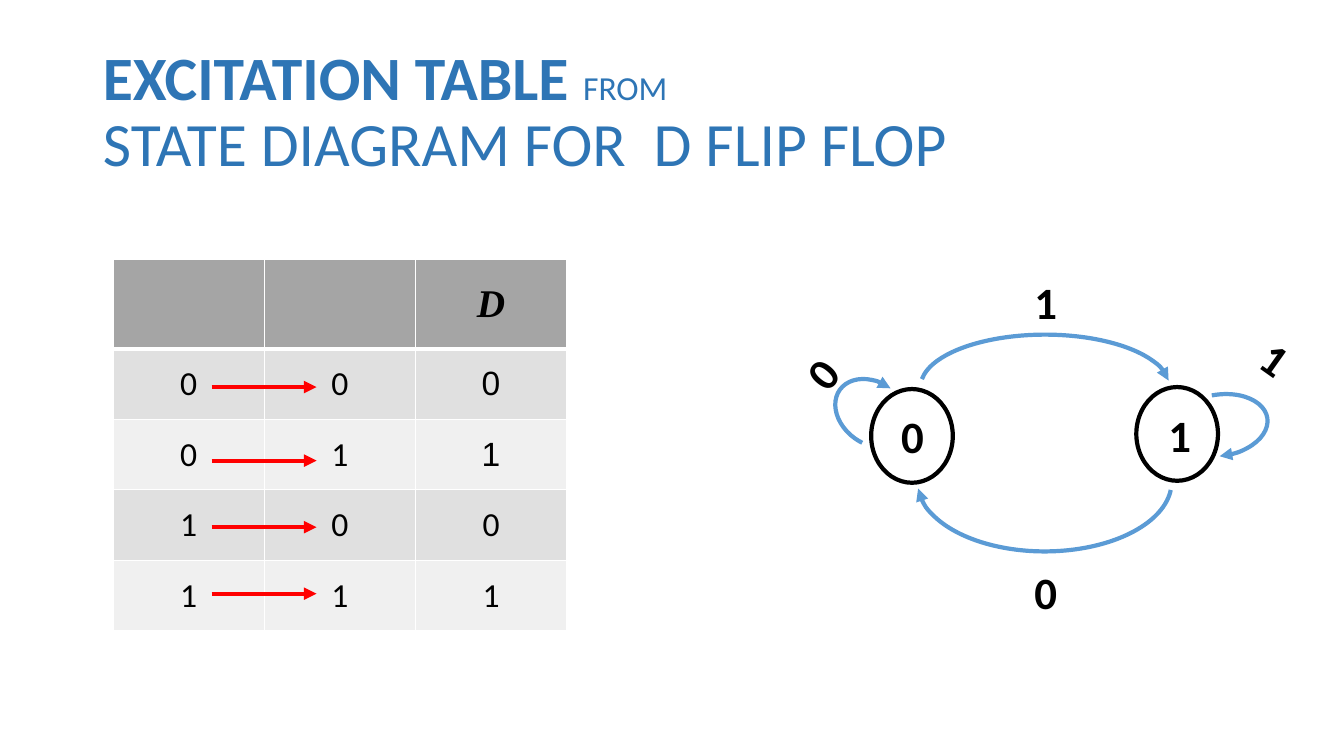
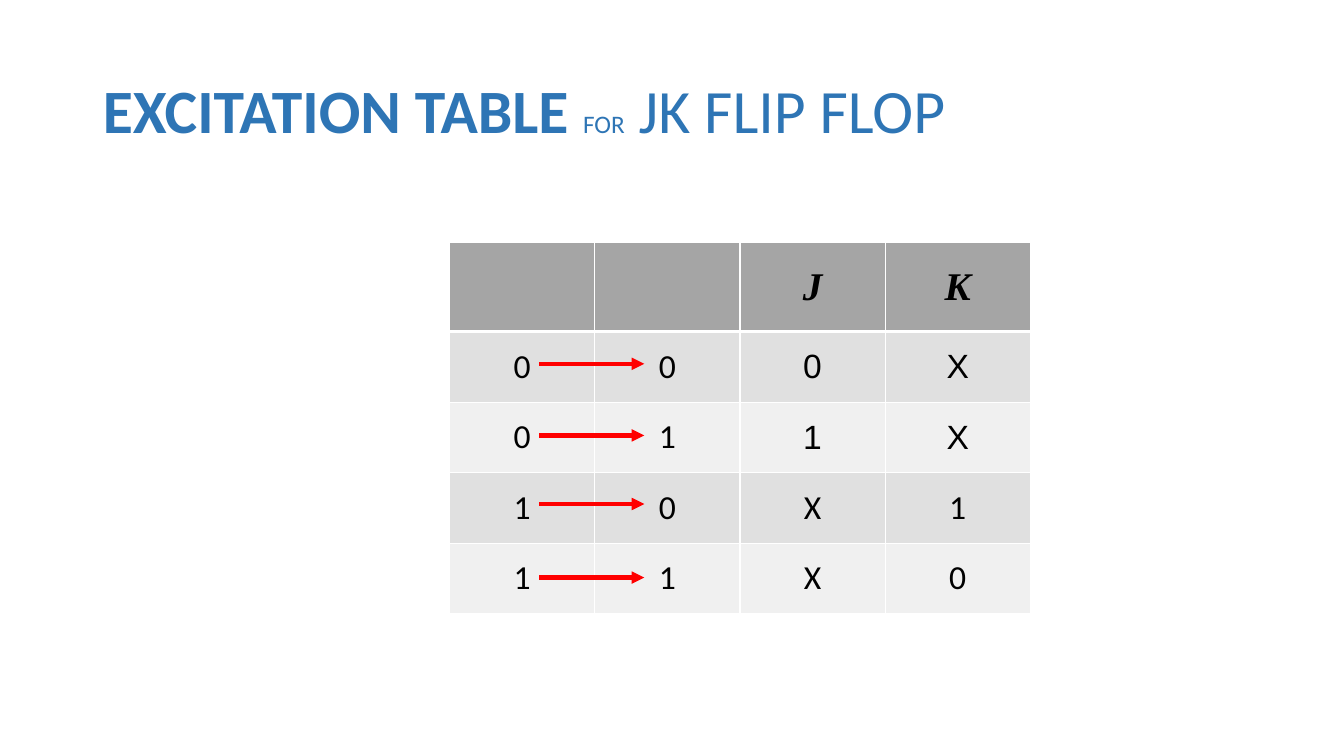
from pptx import Presentation
from pptx.dml.color import RGBColor
from pptx.enum.shapes import MSO_CONNECTOR, MSO_SHAPE
from pptx.enum.text import MSO_ANCHOR, MSO_AUTO_SIZE, PP_ALIGN
from pptx.oxml.ns import qn
from pptx.util import Inches, Pt
from lxml.etree import SubElement

TITLE_BLUE = RGBColor(0x2E, 0x75, 0xB5)
ARC_BLUE = RGBColor(0x5B, 0x9B, 0xD5)
ARROW_RED = RGBColor(0xFF, 0x00, 0x00)
HEADER_GRAY = RGBColor(0xA5, 0xA5, 0xA5)
BAND_GRAYS = (RGBColor(0xF0, 0xF0, 0xF0), RGBColor(0xE0, 0xE0, 0xE0))
BLACK = RGBColor(0x00, 0x00, 0x00)
WHITE = RGBColor(0xFF, 0xFF, 0xFF)

HEADER_HEIGHT, ROW_HEIGHT = 0.89, 0.7
ARROW_LENGTH = 1.04


def style_line(shape, color, arrow=False):
    shape.line.color.rgb = color
    shape.line.width = Pt(3)
    if arrow:
        SubElement(shape.line._get_or_add_ln(), qn("a:tailEnd"), type="triangle")


def style_cell(cell, fill, top, bottom):
    properties = cell._tc.get_or_add_tcPr()
    for side, points in (("L", 1), ("R", 1), ("T", top), ("B", bottom)):
        border = SubElement(properties, qn(f"a:ln{side}"), w=str(Pt(points)))
        solid = SubElement(border, qn("a:solidFill"))
        SubElement(solid, qn("a:srgbClr"), val=str(WHITE))
    cell.fill.solid()
    cell.fill.fore_color.rgb = fill
    cell.vertical_anchor = MSO_ANCHOR.MIDDLE


deck = Presentation()
deck.slide_width, deck.slide_height = Inches(13.33), Inches(7.5)

# Title spans: text, size, bold; "\n" stands for a line break
slides = [
    {
        "title": [("EXCITATION TABLE ", 44, True), ("FROM", 24, False),
                  (" ", 44, False), ("\n", 44, False),
                  ("STATE DIAGRAM FOR  D FLIP FLOP", 44, False)],
        "table": (1.12, 2.57), "column": 1.5,
        "rows": [["", "", "D"], "000", "011", "100", "111"],
        "arrow_left": 2.1, "arrow_tops": (3.84, 4.57, 5.23, 5.89),
    },
    {
        "title": [("EXCITATION TABLE ", 44, True), ("FOR", 18, False),
                  (" ", 44, True), ("JK FLIP FLOP", 44, False)],
        "table": (4.46, 2.4), "column": 1.44,
        "rows": [["", "", "J", "K"], "000X", "011X", "10X1", "11X0"],
        "arrow_left": 5.35, "arrow_tops": (3.61, 4.32, 5, 5.73),
    },
]

for content in slides:
    page = deck.slides.add_slide(deck.slide_layouts[5])

    # Title
    title = page.shapes.title
    title.left, title.top = Inches(0.92), Inches(0.4)
    title.width, title.height = Inches(11.5), Inches(1.45)
    frame = title.text_frame
    frame.auto_size = MSO_AUTO_SIZE.NONE
    frame.vertical_anchor = MSO_ANCHOR.MIDDLE
    para = frame.paragraphs[0]
    para.alignment = PP_ALIGN.LEFT
    para.line_spacing = 0.9
    for text, size, bold in content["title"]:
        if text == "\n":
            para.add_line_break()
            continue
        span = para.add_run()
        span.text = text
        span.font.name = "Calibri"
        span.font.size = Pt(size)
        span.font.bold = bold
        span.font.color.rgb = TITLE_BLUE

    # Excitation table
    rows = content["rows"]
    column_count = len(rows[0])
    left, top = content["table"]
    table = page.shapes.add_table(
        len(rows), column_count, Inches(left), Inches(top),
        Inches(content["column"] * column_count),
        Inches(HEADER_HEIGHT + ROW_HEIGHT * (len(rows) - 1))).table
    table.horz_banding = False
    for column in table.columns:
        column.width = Inches(content["column"])
    for row_index, values in enumerate(rows):
        header = row_index == 0
        table.rows[row_index].height = Inches(HEADER_HEIGHT if header else ROW_HEIGHT)
        for column_index, value in enumerate(values):
            cell = table.cell(row_index, column_index)
            style_cell(cell, HEADER_GRAY if header else BAND_GRAYS[row_index % 2],
                       top=3 if row_index == 1 else 1, bottom=3 if header else 1)
            if not value:
                continue
            cell.text_frame.text = value
            para = cell.text_frame.paragraphs[0]
            para.alignment = PP_ALIGN.CENTER
            font = para.runs[0].font
            font.size = Pt(28 if header else 24)
            font.bold = font.italic = header
            font.color.rgb = BLACK
            if header:
                font.name = "Times New Roman"
            else:
                font.name = "Arial" if row_index < 3 and column_index > 1 else "Calibri"

    # Arrows from present state to next state
    start = content["arrow_left"]
    for arrow_top in content["arrow_tops"]:
        arrow = page.shapes.add_connector(
            MSO_CONNECTOR.STRAIGHT, Inches(start), Inches(arrow_top),
            Inches(start + ARROW_LENGTH), Inches(arrow_top))
        style_line(arrow, ARROW_RED, arrow=True)
        SubElement(arrow._element.spPr, qn("a:effectLst"))

# State diagram: transition arcs
page = deck.slides[0]
for left, top, width, height, rotation, begin, end in (
        (9.13, 3.32, 2.47, 1.04, 0, 110.21, 214.19),
        (8.35, 3.7, 0.61, 0.8, 305.7, 98.2, 0),
        (9.1, 4.09, 2.52, 1.38, 180, 110.21, 214.19),
        (11.79, 3.74, 0.61, 0.96, 81.4, 104.52, 4.96)):
    arc = page.shapes.add_shape(MSO_SHAPE.ARC, Inches(left), Inches(top),
                                Inches(width), Inches(height))
    arc.adjustments[0], arc.adjustments[1] = begin, end
    arc.rotation = rotation
    arc.shadow.inherit = False
    arc.fill.background()
    style_line(arc, ARC_BLUE, arrow=True)

# State circles
for left, top in ((8.64, 3.86), (11.27, 3.84)):
    state = page.shapes.add_shape(MSO_SHAPE.OVAL, Inches(left), Inches(top),
                                  Inches(0.81), Inches(0.93))
    state.shadow.inherit = False
    state.fill.solid()
    state.fill.fore_color.rgb = WHITE
    style_line(state, BLACK)

# State and transition labels
for text, left, top, width, rotation in (
        ("1", 10.16, 2.68, 0.43, 0),
        ("0", 7.92, 3.34, 0.53, 309.9),
        ("0", 10.16, 5.55, 0.43, 0),
        ("0", 8.84, 4.01, 0.43, 0),
        ("1", 11.49, 4, 0.43, 0),
        ("1", 12.43, 3.27, 0.53, 35.3)):
    box = page.shapes.add_textbox(Inches(left), Inches(top), Inches(width), Inches(0.64))
    box.rotation = rotation
    frame = box.text_frame
    frame.word_wrap = True
    frame.auto_size = MSO_AUTO_SIZE.SHAPE_TO_FIT_TEXT
    frame.text = text
    font = frame.paragraphs[0].runs[0].font
    font.name = "Calibri"
    font.size = Pt(32)
    font.bold = True
    font.color.rgb = BLACK

deck.save("out.pptx")
